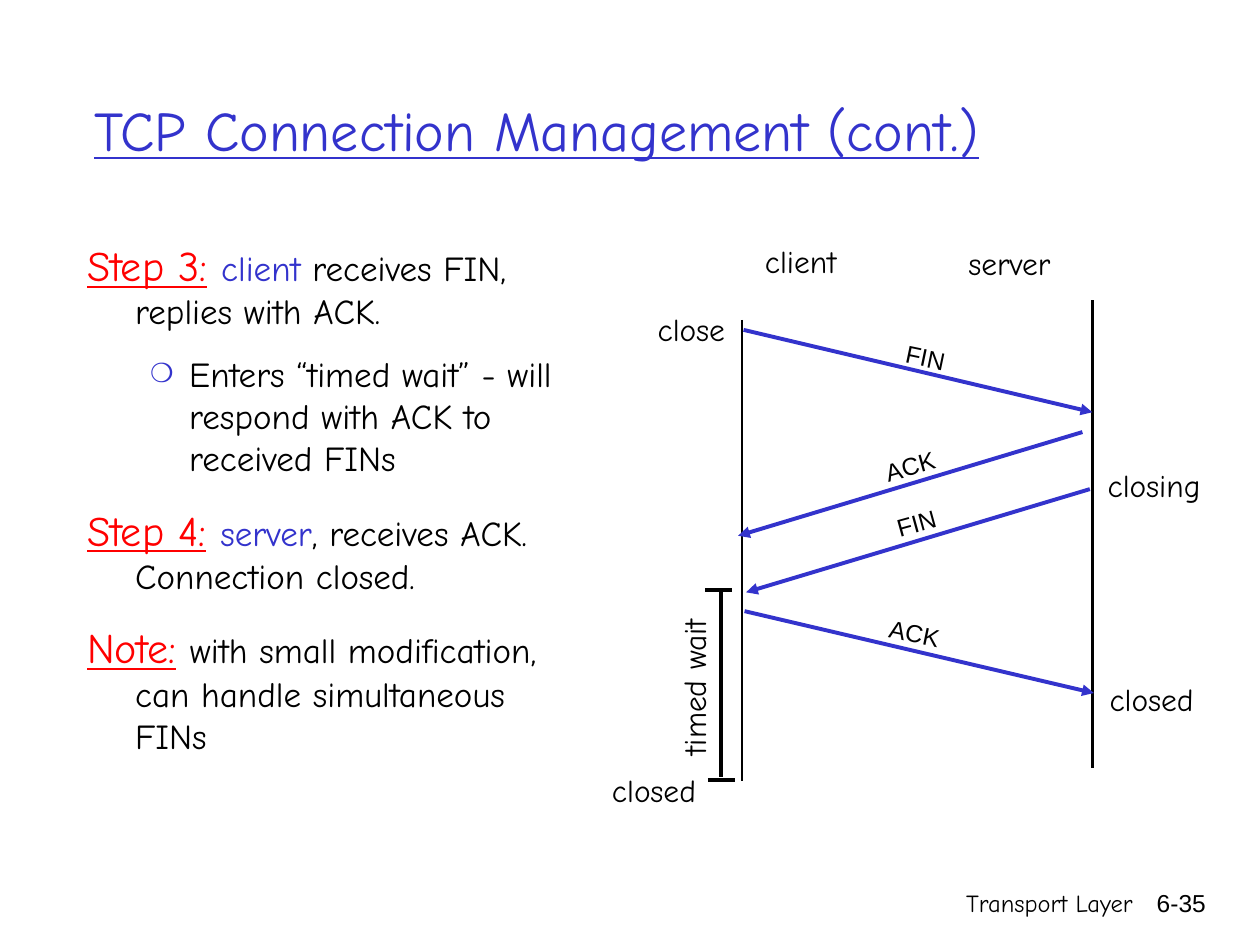
import pptx
import pptx.dml.color
import pptx.enum.shapes
import pptx.enum.text
import pptx.oxml
import pptx.util
from dataclasses import dataclass
from pptx.oxml.ns import qn
from pptx.util import Cm


@dataclass(frozen=True)
class Theme:
    hand: str = "Comic Neue"
    sans: str = "Arial"
    blue: str = "3333CC"
    red: str = "FF0000"
    black: str = "000000"
    title: int = 32
    lead: int = 24
    body: int = 20
    label: int = 18
    small: int = 14
    thick: float = 2.25
    thin: float = 1.5


T = Theme()
ALIGN = pptx.enum.text.PP_ALIGN
FIT = pptx.enum.text.MSO_AUTO_SIZE


def rgb(value):
    return pptx.dml.color.RGBColor.from_string(value)


def add_run(p, text, size, color=T.black, font=T.hand, underline=False):
    r = p.add_run()
    r.text = text
    r.font.name, r.font.size = font, pptx.util.Pt(size)
    r.font.color.rgb = rgb(color)
    r.font.underline = underline


def place(sp, left, top, width, height):
    sp.left, sp.top = Cm(left), Cm(top)
    sp.width, sp.height = Cm(width), Cm(height)


def add_label(s, text, box, size=T.label, font=T.hand, rotation=0,
              align=ALIGN.CENTER, wrap=False):
    sp = s.shapes.add_textbox(*map(Cm, box))
    sp.rotation = rotation
    tf = sp.text_frame
    tf.word_wrap = wrap
    tf.auto_size = FIT.NONE if wrap else FIT.SHAPE_TO_FIT_TEXT
    p = tf.paragraphs[0]
    p.alignment = align
    add_run(p, text, size, font=font)


def add_line(s, x1, y1, x2, y2, color=T.black, width=T.thick, arrow=False):
    sp = s.shapes.add_connector(pptx.enum.shapes.MSO_CONNECTOR.STRAIGHT,
                                Cm(x1), Cm(y1), Cm(x2), Cm(y2))
    sp.line.color.rgb = rgb(color)
    sp.line.width = pptx.util.Pt(width)
    if arrow:
        ln = sp.line._get_or_add_ln()
        ln.append(ln.makeelement(qn("a:tailEnd"), {"type": "triangle"}))
    props = sp._element.spPr
    props.append(props.makeelement(qn("a:effectLst"), {}))


def format_paragraph(p, margin, hanging, bullet=None):
    ppr = p._p.get_or_add_pPr()
    ppr.set("marL", str(Cm(margin)))
    ppr.set("indent", str(-Cm(hanging)))
    if not bullet:
        ppr.append(ppr.makeelement(qn("a:buNone"), {}))
        return
    color = ppr.makeelement(qn("a:buClr"), {})
    color.append(color.makeelement(qn("a:srgbClr"), {"val": T.blue}))
    ppr.append(color)
    ppr.append(ppr.makeelement(qn("a:buSzPct"), {"val": "75000"}))
    ppr.append(ppr.makeelement(qn("a:buChar"), {"char": bullet}))


def add_title(s, text):
    sp = s.shapes.title
    place(sp, 1.65, 1.35, 21.59, 2.49)
    tf = sp.text_frame
    tf.auto_size = FIT.NONE
    tf.vertical_anchor = pptx.enum.text.MSO_ANCHOR.MIDDLE
    p = tf.paragraphs[0]
    p.alignment = ALIGN.LEFT
    add_run(p, text, T.title, T.blue, underline=True)


def add_body(s, items):
    sp = s.placeholders[1]
    place(sp, 1.5, 4.7, 10.44, 9.6)
    tf = sp.text_frame
    tf.auto_size = FIT.NONE
    for i, (heading, actor, text) in enumerate(items):
        p = tf.add_paragraph() if i else tf.paragraphs[0]
        size = T.lead if heading else T.body
        if heading:
            format_paragraph(p, 0.97, 0.97)
            add_run(p, heading, T.lead, T.red, underline=True)
            add_run(p, " ", T.lead)
        else:
            p.level = 1
            format_paragraph(p, 2.06, 0.79, "❍")
        if actor:
            add_run(p, actor, T.body, T.blue)
        add_run(p, text, T.body)
        # Space before is 60% of the leading type size
        p.space_before = pptx.util.Pt(0.6 * size if i else 0)


def add_sequence_diagram(s):
    # Time lines of the two hosts
    add_line(s, 14.96, 6.45, 14.96, 15.75, width=T.thin)
    add_line(s, 22.02, 6.05, 22.02, 15.49, width=T.thin)

    # Messages: arrow ends, label, label box, label rotation
    down, up = 11.8, 344.6
    messages = [
        ((14.99, 6.65, 22.02, 8.31), "FIN", (18.01, 6.78, 1.3, 0.84), down),
        ((21.82, 8.71, 14.88, 10.8), "ACK", (14.55, 8.97, 7.59, 0.84), up),
        ((21.97, 9.86, 15.04, 11.94), "FIN", (14.68, 10.11, 7.59, 0.84), up),
        ((15.01, 12.32, 22.05, 13.97), "ACK", (17.68, 12.34, 1.52, 0.84), down),
    ]
    for ends, text, box, rotation in messages:
        add_line(s, *ends, color=T.blue, arrow=True)
        add_label(s, text, box, T.small, T.sans, rotation, wrap=rotation == up)

    # Timed wait bracket
    add_line(s, 14.53, 11.94, 14.53, 15.67)
    add_line(s, 14.22, 11.89, 14.76, 11.89)
    add_line(s, 14.27, 15.72, 14.81, 15.72)
    add_label(s, "timed wait", (12.17, 13.34, 3.63, 1.02), rotation=270)

    # Hosts and their states
    for text, left, top, width in [
        ("client", 15.06, 4.75, 2.16),
        ("server", 19.13, 4.8, 2.44),
        ("close", 12.93, 6.12, 2.01),
        ("closing", 22.02, 9.27, 2.49),
        ("closed", 11.99, 15.42, 2.39),
        ("closed", 22.02, 13.59, 2.39),
    ]:
        add_label(s, text, (left, top, width, 1.02))


def add_footer(s):
    add_label(s, "Transport Layer", (15.04, 17.78, 8.05, 1.27), T.small,
              align=ALIGN.RIGHT, wrap=True)
    add_label(s, "6-35", (22.68, 17.78, 1.88, 1.27), T.small, T.sans,
              align=ALIGN.RIGHT, wrap=True)


def main():
    prs = pptx.Presentation()
    prs.slide_width, prs.slide_height = Cm(25.4), Cm(19.05)
    s = prs.slides.add_slide(prs.slide_layouts[1])
    add_title(s, "TCP Connection Management (cont.)")
    add_body(s, [
        ("Step 3:", "client", " receives FIN, replies with ACK."),
        (None, None, "Enters “timed wait” - will respond with ACK to received FINs"),
        ("Step 4:", "server", ", receives ACK. Connection closed."),
        ("Note:", None, "with small modification, can handle simultaneous FINs"),
    ])
    add_sequence_diagram(s)
    add_footer(s)
    prs.save("out.pptx")


if __name__ == "__main__":
    main()
